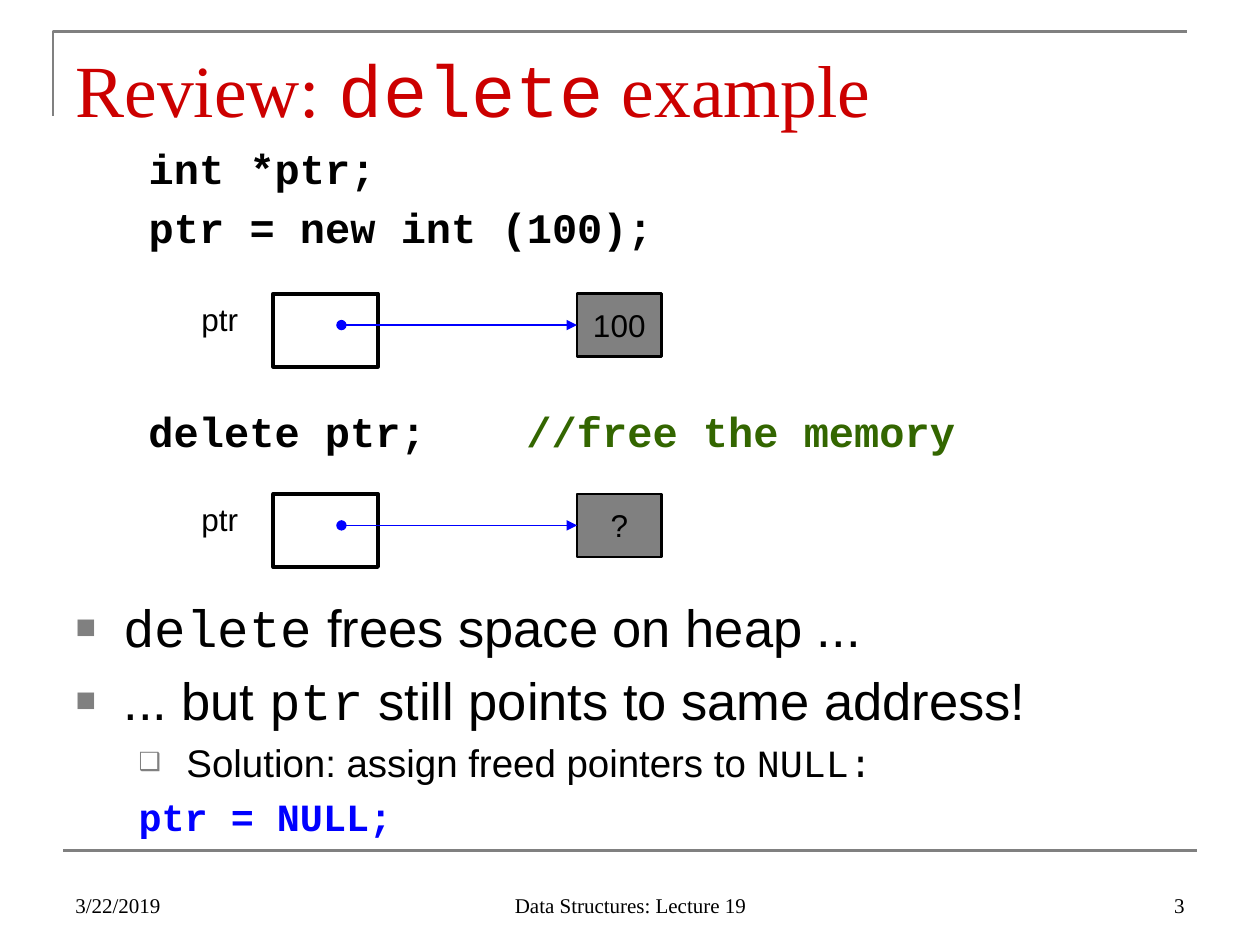
import pptx
import pptx.dml.color
import pptx.enum.shapes
import pptx.enum.text
import pptx.oxml
import pptx.oxml.ns
import pptx.util

Inches = pptx.util.Inches
Pt = pptx.util.Pt
SHAPE = pptx.enum.shapes.MSO_SHAPE
ALIGN = pptx.enum.text.PP_ALIGN
ANCHOR = pptx.enum.text.MSO_ANCHOR
FIT = pptx.enum.text.MSO_AUTO_SIZE


class Theme:
    """Colours, fonts and text formats of the slide."""
    black, gray, red, blue, green = "000000", "808080", "CC0000", "0000FF", "336600"
    sans, mono, serif = "Arial", "Courier New", "Times New Roman"
    title = dict(name=serif, size=Pt(42), color=red)
    code = dict(name=mono, size=Pt(24), bold=True, color=black)
    label = dict(name=sans, size=Pt(18), color=black)
    bullet = dict(name=sans, size=Pt(30), color=black)
    sub = dict(name=sans, size=Pt(22), color=black)
    footer = dict(name=serif, size=Pt(12), color=black)


def rgb(value):
    """Return a colour object for a hex string."""
    return pptx.dml.color.RGBColor.from_string(value)


def append_xml(parent, *elements):
    """Append DrawingML elements written as XML strings."""
    for xml in elements:
        head, rest = xml[:-2], "/>"
        if "><" in xml:
            cut = xml.index(">")
            head, rest = xml[:cut], xml[cut:]
        parent.append(pptx.oxml.parse_xml(f"{head} {pptx.oxml.ns.nsdecls('a')}{rest}"))


def add_runs(p, base, *pieces):
    """Add (text, format changes) pieces to a paragraph."""
    for text, changes in pieces:
        r = p.add_run()
        r.text = text
        for key, value in {**base, **changes}.items():
            if key == "color":
                r.font.color.rgb = rgb(value)
            else:
                setattr(r.font, key, value)


def place(sp, left, top, width, height):
    """Move and size a shape, in inches."""
    box = dict(left=left, top=top, width=width, height=height)
    for key, value in box.items():
        setattr(sp, key, Inches(value))


def set_frame(sp, **values):
    """Set text frame attributes and return the frame."""
    for key, value in values.items():
        setattr(sp.text_frame, key, value)
    return sp.text_frame


def add_text(s, box, base, *pieces, align=ALIGN.LEFT, **frame):
    """Add a one-paragraph text box and return its paragraph."""
    sp = s.shapes.add_textbox(*map(Inches, box))
    p = set_frame(sp, word_wrap=True, **frame).paragraphs[0]
    p.alignment = align
    add_runs(p, base, *pieces)
    return p


def style_line(line, color, width):
    """Set the colour and width of a line."""
    line.color.rgb = rgb(color)
    line.width = Pt(width)


def add_line(s, start, end, color, width):
    """Add a straight connector without a shadow."""
    line = s.shapes.add_connector(
        pptx.enum.shapes.MSO_CONNECTOR.STRAIGHT, *map(Inches, start + end))
    style_line(line.line, color, width)
    append_xml(line._element.spPr, "<a:effectLst/>")
    return line


def add_rect(s, box, width, fill=None):
    """Add a black-edged rectangle, filled or open."""
    sp = s.shapes.add_shape(SHAPE.RECTANGLE, *map(Inches, box))
    sp.shadow.inherit = False
    style_line(sp.line, Theme.black, width)
    if fill:
        sp.fill.solid()
        sp.fill.fore_color.rgb = rgb(fill)
    else:
        sp.fill.background()
    return sp


def add_frame(s):
    """Add the title corner and the footer rule."""
    builder = s.shapes.build_freeform(Inches(0.42), Inches(0.92))
    builder.add_line_segments(
        [(Inches(0.42), Inches(0.25)), (Inches(9.42), Inches(0.25))], close=False)
    corner = builder.convert_to_shape()
    corner.shadow.inherit = False
    corner.fill.background()
    style_line(corner.line, Theme.gray, 1.5)
    add_line(s, (0.5, 6.75), (9.5, 6.75), Theme.gray, 1.5)


def add_pointer(s, top, value):
    """Add a pointer box with an arrow to a memory cell."""
    add_text(s, (1.5, top, 0.67, 0.51), Theme.label, ("ptr", {}))
    add_rect(s, (2.17, top, 0.83, 0.58), 2.25)
    cell = add_rect(s, (4.58, top, 0.67, 0.5), 1.5, Theme.gray)
    tf = set_frame(cell, word_wrap=False, vertical_anchor=ANCHOR.MIDDLE)
    tf.paragraphs[0].alignment = ALIGN.CENTER
    add_runs(tf.paragraphs[0], Theme.label, (value, {}))
    middle = top + 0.25
    arrow = add_line(s, (2.71, middle), (4.58, middle), Theme.blue, 0.75)
    arrow.end_connect(cell, 1)
    append_xml(arrow.line._get_or_add_ln(),
               '<a:headEnd type="oval"/>', '<a:tailEnd type="triangle"/>')


def fill_body(sp, paragraphs):
    """Fill a body with (level, left margin, bullet, base, pieces) paragraphs."""
    tf = set_frame(sp, auto_size=FIT.NONE, vertical_anchor=ANCHOR.TOP)
    for i, (level, margin, bullet, base, pieces) in enumerate(paragraphs):
        p = tf.add_paragraph() if i else tf.paragraphs[0]
        p.level = level
        if i == 0:
            p.space_before = Pt(0)
        pPr = p._p.get_or_add_pPr()
        pPr.set("marL", str(Inches(margin)))
        pPr.set("indent", str(Inches(-0.38)))
        if bullet:
            append_xml(pPr, f'<a:buClr><a:srgbClr val="{Theme.gray}"/></a:buClr>',
                       '<a:buSzPct val="65000"/>', f'<a:buChar char="{bullet}"/>')
        else:
            append_xml(pPr, "<a:buNone/>")
        add_runs(p, base, *pieces)


def main():
    """Build and save the slide."""
    prs = pptx.Presentation()
    prs.slide_width, prs.slide_height = Inches(10), Inches(7.5)
    s = prs.slides.add_slide(prs.slide_layouts[3])
    title, code, points = s.placeholders
    mono = dict(name=Theme.mono)
    add_frame(s)

    place(title, 0.5, 0.3, 9, 0.78)
    tf = set_frame(title, auto_size=FIT.NONE, vertical_anchor=ANCHOR.TOP)
    tf.paragraphs[0].alignment = ALIGN.LEFT
    add_runs(tf.paragraphs[0], Theme.title,
             ("Review: ", {}), ("delete", mono), (" example", {}))

    place(code, 1.08, 1.08, 8.5, 1.17)
    fill_body(code, [(0, 0.38, None, Theme.code, [(text, {})])
                     for text in ("int *ptr;", "ptr = new int (100);")])

    add_pointer(s, 2.33, "100")
    p = add_text(s, (1.08, 3.17, 7.08, 0.51), Theme.code, ("delete ptr;\t", {}),
                 ("//free the memory", dict(color=Theme.green)))
    append_xml(p._p.get_or_add_pPr(),
               f'<a:tabLst><a:tab pos="{Inches(3)}" algn="l"/></a:tabLst>')
    add_pointer(s, 3.92, "?")

    place(points, 0.5, 4.67, 9, 2.04)
    fill_body(points, [
        (0, 0.38, "■", Theme.bullet,
         [("delete", mono), (" frees space on heap ...", {})]),
        (0, 0.38, "■", Theme.bullet,
         [("... but ", {}), ("ptr", mono), (" still points to same address!", {})]),
        (1, 0.88, "❑", Theme.sub,
         [("Solution: assign freed pointers to ", {}), ("NULL:", mono)]),
        (1, 0.88, None, Theme.sub,
         [("ptr = NULL;", dict(mono, bold=True, color=Theme.blue))]),
    ])

    for left, width, align, text in (
            (0.5, 2.33, ALIGN.LEFT, "3/22/2019"),
            (3.42, 3.17, ALIGN.CENTER, "Data Structures: Lecture 19"),
            (7.17, 2.33, ALIGN.RIGHT, "3")):
        add_text(s, (left, 6.83, width, 0.5), Theme.footer, (text, {}),
                 align=align, vertical_anchor=ANCHOR.BOTTOM)
    prs.save("out.pptx")


if __name__ == "__main__":
    main()
